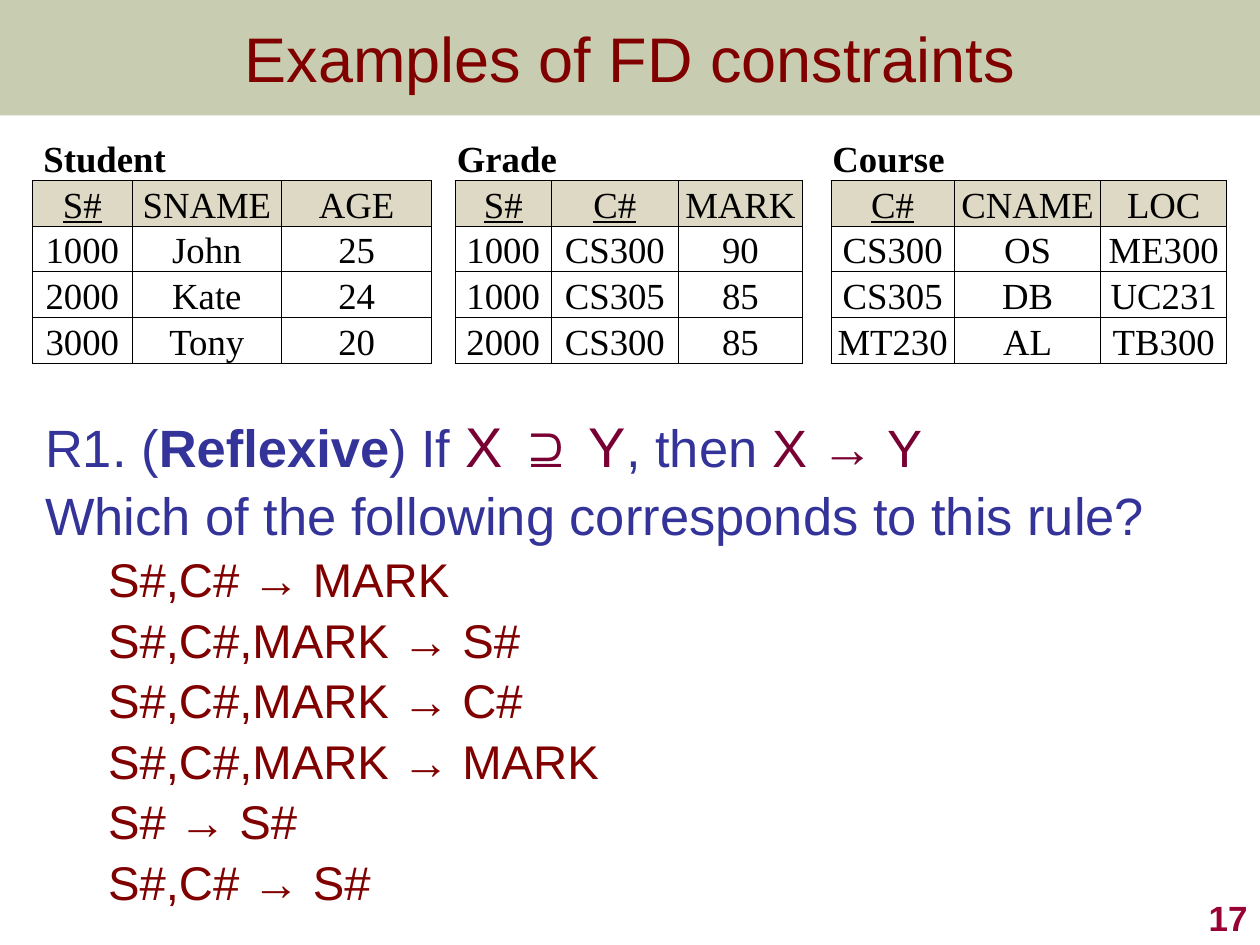
import pptx
import pptx.util
import pptx.dml.color
import pptx.enum.text
import pptx.enum.shapes
import pptx.oxml
import pptx.oxml.ns
from pptx.util import Cm, Pt

ALIGN = pptx.enum.text.PP_ALIGN
ANCHOR = pptx.enum.text.MSO_ANCHOR
NS = pptx.oxml.ns.nsdecls("a")


def color(value):
    return pptx.dml.color.RGBColor.from_string(value)


class SlideBuilder:
    sans, serif = "Arial", "Times New Roman"
    black, white, header = "000000", "FFFFFF", "DDD9C4"
    maroon, plum, blue = "800000", "790033", "333399"

    def __init__(self, s):
        self.s = s

    def font(self, r, size, c, name=None, bold=False, underline=False):
        f = r.font
        f.size, f.name = Pt(size), name or self.sans
        f.bold, f.underline = bold, underline
        f.color.rgb = color(c)

    def band(self, x, y, w, h, c, opacity):
        sp = self.s.shapes.add_shape(
            pptx.enum.shapes.MSO_SHAPE.RECTANGLE, Cm(x), Cm(y), Cm(w), Cm(h))
        sp.shadow.inherit = False
        sp.fill.solid()
        sp.fill.fore_color.rgb = color(c)
        sp.line.fill.background()
        clr = sp.fill._xPr.find(".//" + pptx.oxml.ns.qn("a:srgbClr"))
        clr.append(pptx.oxml.parse_xml(
            f'<a:alpha {NS} val="{opacity * 1000}"/>'))

    def frame(self, x, y, w, h, anchor):
        tf = self.s.shapes.add_textbox(Cm(x), Cm(y), Cm(w), Cm(h)).text_frame
        tf.word_wrap = True
        tf.vertical_anchor = anchor
        return tf

    def label(self, x, y, w, h, text, size, c, align, anchor, bold=False):
        tf = self.frame(x, y, w, h, anchor)
        tf.text = text
        p = tf.paragraphs[0]
        p.alignment = align
        self.font(p.runs[0], size, c, bold=bold)

    def body(self, x, y, w, h, paragraphs):
        """Each paragraph is (level, runs); each run is (text, size, colour, bold)."""
        tf = self.frame(x, y, w, h, ANCHOR.TOP)
        tf.margin_right = 0
        for i, (level, runs) in enumerate(paragraphs):
            p = tf.add_paragraph() if i else tf.paragraphs[0]
            p.level = level
            p.line_spacing = 0.9
            p.space_before = Pt(0.2 * runs[0][1])
            left, first = ((0.97, -0.97), (2.06, -0.79))[level]
            pPr = p._p.get_or_add_pPr()
            pPr.set("marL", str(Cm(left)))
            pPr.set("indent", str(Cm(first)))
            for text, size, c, bold in runs:
                r = p.add_run()
                r.text = text
                self.font(r, size, c, bold=bold)

    def borders(self, cell, sides):
        tcPr = cell._tc.get_or_add_tcPr()
        for i, side in enumerate("LRTB"):
            paint = (f'<a:solidFill><a:srgbClr val="{self.black}"/></a:solidFill>'
                     if side in sides else "<a:noFill/>")
            tcPr.insert(i, pptx.oxml.parse_xml(
                f'<a:ln{side} {NS} w="{Pt(0.5)}">{paint}</a:ln{side}>'))

    def relations(self, x, y, relations, gaps, row_h):
        """Relations side by side in one table, with a narrow column between them."""
        widths, columns = [], []
        for i, (name, key_count, rel_widths, rows) in enumerate(relations):
            if i:
                widths.append(gaps[i - 1])
                columns.append(None)
            for j, w in enumerate(rel_widths):
                widths.append(w)
                columns.append((name if j == 0 else "", j < key_count,
                                [row[j] for row in rows]))
        n = len(relations[0][3]) + 1
        tbl = self.s.shapes.add_table(n, len(widths), Cm(x), Cm(y),
                                      Cm(sum(widths)), Cm(row_h * n)).table
        for row in tbl.rows:
            row.height = Cm(row_h)
        for j, (w, column) in enumerate(zip(widths, columns)):
            tbl.columns[j].width = Cm(w)
            for i in range(n):
                cell = tbl.cell(i, j)
                cell.margin_left = cell.margin_right = cell.margin_top = Cm(0.03)
                cell.margin_bottom = 0
                cell.vertical_anchor = ANCHOR.BOTTOM
                cell.fill.solid()
                cell.fill.fore_color.rgb = color(
                    self.header if column and i == 1 else self.white)
                if column is None:
                    self.borders(cell, "LR" if i else "")
                    continue
                self.borders(cell, "LRTB" if i else "B")
                name, key, values = column
                text = values[i - 1] if i else name
                if text:
                    cell.text = text
                    p = cell.text_frame.paragraphs[0]
                    p.alignment = ALIGN.CENTER if i else ALIGN.LEFT
                    self.font(p.runs[0], 21, self.black, self.serif,
                              bold=i == 0, underline=key and i == 1)
        # Relation names span their columns
        start = 0
        for name, _, rel_widths, _ in relations:
            span = 2 if name == " Student" else len(rel_widths)
            tbl.cell(0, start).merge(tbl.cell(0, start + span - 1))
            start += len(rel_widths) + 1


def main():
    prs = pptx.Presentation()
    prs.slide_width, prs.slide_height = Cm(25.4), Cm(19.05)
    b = SlideBuilder(prs.slides.add_slide(prs.slide_layouts[6]))

    # Title band
    b.band(0, 0, 25.4, 2.33, "677228", 36)
    b.label(0, 0, 25.4, 2.33, "Examples of FD constraints", 36, b.maroon,
            ALIGN.CENTER, ANCHOR.MIDDLE)

    # Rule and candidate dependencies
    rule = [("R1. (", 30, b.blue, False), ("Reflexive", 30, b.blue, True),
            (") If ", 30, b.blue, False), ("X ⊇ Y", 32, b.plum, False),
            (", then ", 30, b.blue, False), ("X → Y", 30, b.plum, False)]
    question = "Which of the following corresponds to this rule?"
    options = ["S#,C# → MARK", "S#,C#,MARK → S#", "S#,C#,MARK → C#",
               "S#,C#,MARK → MARK", "S# → S#", "S#,C# → S#"]
    b.body(0.66, 8.33, 23.04, 10.52,
           [(0, rule), (0, [(question, 30, b.blue, False)])]
           + [(1, [(o, 27, b.maroon, False)]) for o in options])

    # Relations: name, number of key columns, column widths, rows
    b.relations(0.66, 2.72, [
        (" Student", 1, (2, 3.02, 3.02),
         [("S#", "SNAME", "AGE"), ("1000", "John", "25"),
          ("2000", "Kate", "24"), ("3000", "Tony", "20")]),
        ("Grade", 2, (1.93, 2.57, 2.49),
         [("S#", "C#", "MARK"), ("1000", "CS300", "90"),
          ("1000", "CS305", "85"), ("2000", "CS300", "85")]),
        ("Course", 1, (2.49, 2.95, 2.54),
         [("C#", "CNAME", "LOC"), ("CS300", "OS", "ME300"),
          ("CS305", "DB", "UC231"), ("MT230", "AL", "TB300")]),
    ], gaps=(0.48, 0.58), row_h=0.92)

    # Slide number
    b.label(20.12, 17.78, 5.28, 1.27, "17", 20, "990033",
            ALIGN.RIGHT, ANCHOR.BOTTOM, bold=True)

    prs.save("out.pptx")


if __name__ == "__main__":
    main()
